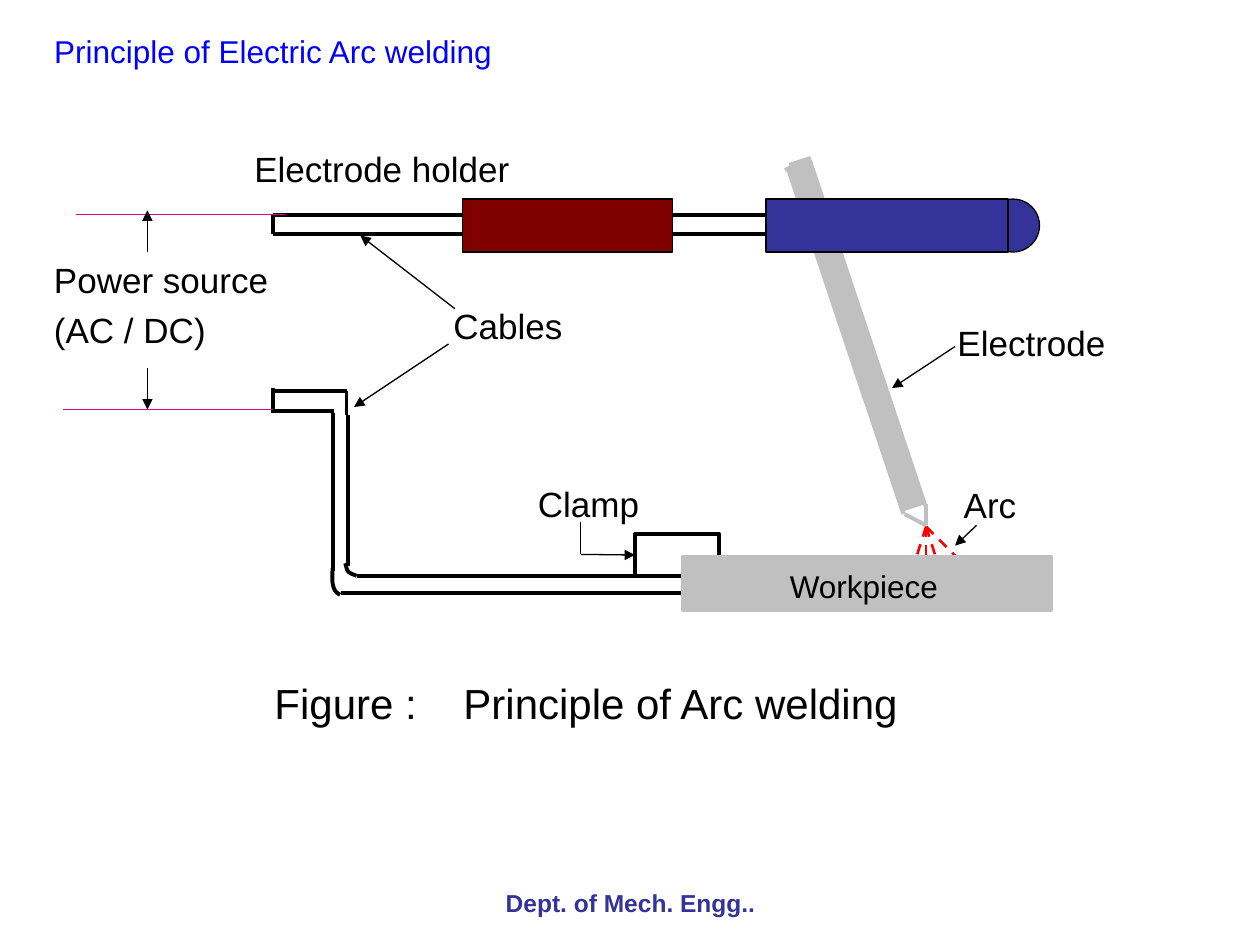
from dataclasses import dataclass

import pptx
import pptx.util
import pptx.dml.color
import pptx.enum.dml
import pptx.enum.shapes
import pptx.enum.text
import pptx.oxml
import pptx.oxml.ns
import pptx.oxml.xmlchemy

Inches = pptx.util.Inches
Pt = pptx.util.Pt
Shape = pptx.enum.shapes.MSO_SHAPE
Align = pptx.enum.text.PP_ALIGN
Point = tuple[float, float]

FONT = "Arial"
COLORS = {
    "white": "FFFFFF", "black": "000000", "gray": "C0C0C0", "navy": "333399",
    "maroon": "800000", "red": "FF0000", "pink": "D60093", "blue": "0000FF",
}


@dataclass
class Label:
    lines: list[str]
    left: float
    top: float
    width: float
    height: float
    size: float = 20
    color: str = "black"
    fill: str | None = None
    bold: bool = False
    align: Align = Align.LEFT
    line_spacing: float | None = None
    tab: float | None = None


@dataclass
class Line:
    start: Point
    end: Point
    color: str = "black"
    width: float = 2.25
    dashed: bool = False
    arrow: bool = False


@dataclass
class Block:
    left: float
    top: float
    width: float
    height: float
    fill: str | None
    line: str = "black"
    line_width: float = 0.75
    rotation: float = 0
    kind: Shape = Shape.RECTANGLE


def rgb(name: str) -> pptx.dml.color.RGBColor:
    return pptx.dml.color.RGBColor.from_string(COLORS[name])


def set_fill(shape, name: str | None) -> None:
    if name is None:
        shape.fill.background()
    else:
        shape.fill.solid()
        shape.fill.fore_color.rgb = rgb(name)


def set_line(shape, name: str, width: float) -> None:
    shape.line.color.rgb = rgb(name)
    shape.line.width = Pt(width)


def set_font(para, size: float, color: str, bold: bool = False) -> None:
    para.font.name = FONT
    para.font.size = Pt(size)
    para.font.bold = bold
    para.font.color.rgb = rgb(color)


def add_child(parent, tag: str, **attributes: str):
    child = parent.makeelement(pptx.oxml.ns.qn(tag), attributes)
    parent.append(child)
    return child


def draw_label(page, label: Label) -> None:
    box = page.shapes.add_textbox(*map(Inches, (label.left, label.top, label.width, label.height)))
    set_fill(box, label.fill)
    frame = box.text_frame
    frame.word_wrap = True
    for index, words in enumerate(label.lines):
        para = frame.add_paragraph() if index else frame.paragraphs[0]
        para.add_run().text = words
        para.alignment = label.align
        if label.line_spacing:
            para.line_spacing = label.line_spacing
        if index:
            para.space_before = Pt(label.size / 2)
        if label.tab:
            tabs = add_child(para._p.get_or_add_pPr(), "a:tabLst")
            add_child(tabs, "a:tab", pos=str(Inches(label.tab)), algn="l")
        set_font(para, label.size, label.color, label.bold)


def draw_line(page, line: Line):
    connector = page.shapes.add_connector(
        pptx.enum.shapes.MSO_CONNECTOR.STRAIGHT, *map(Inches, line.start + line.end))
    set_line(connector, line.color, line.width)
    if line.dashed:
        connector.line.dash_style = pptx.enum.dml.MSO_LINE.DASH
    if line.arrow:
        add_child(connector.line._get_or_add_ln(), "a:tailEnd", type="triangle")
    add_child(connector._element.spPr, "a:effectLst")
    return connector


def draw_block(page, block: Block):
    shape = page.shapes.add_shape(
        block.kind, *map(Inches, (block.left, block.top, block.width, block.height)))
    shape.shadow.inherit = False
    shape.rotation = block.rotation
    set_fill(shape, block.fill)
    set_line(shape, block.line, block.line_width)
    return shape


def draw_bend(page, *controls: Point, steps: int = 12) -> None:
    """Draw a cable bend along a cubic curve with four control points."""
    points = []
    for step in range(steps + 1):
        t = step / steps
        weights = ((1 - t) ** 3, 3 * t * (1 - t) ** 2, 3 * t * t * (1 - t), t ** 3)
        points.append(tuple(Inches(sum(w * c[axis] for w, c in zip(weights, controls)))
                            for axis in (0, 1)))
    builder = page.shapes.build_freeform(*points[0])
    builder.add_line_segments(points[1:], close=False)
    bend = builder.convert_to_shape()
    bend.shadow.inherit = False
    set_fill(bend, None)
    set_line(bend, "black", 2.25)


def draw_title(page, words: str) -> None:
    title = page.shapes.title
    title.left, title.top, title.width, title.height = map(Inches, (0.33, 0.2, 8.58, 0.63))
    frame = title.text_frame
    frame.text = words
    frame.vertical_anchor = pptx.enum.text.MSO_ANCHOR.TOP
    frame.paragraphs[0].alignment = Align.LEFT
    set_font(frame.paragraphs[0], 18, "blue")


LABELS = [
    Label(["Clamp"], 4.17, 3.78, 1.08, 0.43),
    Label(["Cables"], 3.5, 2.37, 1.25, 0.43),
    Label(["Electrode holder"], 1.92, 1.12, 3, 0.43),
    Label(["Electrode"], 7.5, 2.5, 1.42, 0.43),
    Label(["Arc"], 7.55, 3.79, 0.7, 0.43),
    Label(["Power source", "(AC / DC)"], 0.33, 2.08, 2, 0.77, line_spacing=0.76),
    Label(["Figure :\tPrinciple of Arc welding"], 2.08, 5.33, 5.92, 0.5, size=24, tab=1.5),
    Label(["Dept. of Mech. Engg.."], 3.42, 7, 3.17, 0.35, size=14, color="navy",
          bold=True, align=Align.CENTER),
]
ELECTRODE_EDGES = [
    ((7.18, 4.08), (7.35, 4.17)), ((7.35, 4), (7.35, 4.17)), ((6.25, 1.33), (7.17, 4.08)),
    ((6.43, 1.28), (7.35, 4.03)), ((6.23, 1.35), (6.4, 1.27)),
]
CABLE_EDGES = [
    # Holder cable
    ((2.17, 1.71), (6.08, 1.71)), ((2.17, 1.86), (6.08, 1.86)), ((2.17, 1.7), (2.17, 1.86)),
    # Return cable at the power source
    ((2.17, 3.08), (2.17, 3.25)), ((2.15, 3.26), (2.65, 3.26)),
    ((2.15, 3.1), (2.75, 3.1)), ((2.75, 3.1), (2.75, 3.29)),
    # Return cable down and across to the workpiece
    ((2.76, 3.29), (2.76, 4.49)), ((2.83, 4.57), (5.42, 4.57)),
    ((2.64, 3.28), (2.64, 4.53)), ((2.71, 4.71), (5.42, 4.71)),
]
POINTERS = [
    ((3.61, 2.45), (2.86, 1.87)), ((3.56, 2.73), (2.81, 3.23)), ((7.58, 2.75), (7.08, 3.08)),
    ((7.75, 4.17), (7.58, 4.33)), ((1.17, 2.92), (1.17, 3.25)), ((1.17, 2), (1.17, 1.67)),
]


def main() -> None:
    deck = pptx.Presentation()
    deck.slide_width, deck.slide_height = Inches(10), Inches(7.5)
    page = deck.slides.add_slide(deck.slide_layouts[5])
    draw_title(page, "Principle of Electric Arc welding")
    for label in LABELS:
        draw_label(page, label)

    # Electrode
    for start, end in ELECTRODE_EDGES:
        draw_line(page, Line(start, end, "gray"))
    draw_block(page, Block(6.71, 1.2, 0.17, 2.9, "gray", "gray", rotation=342))
    draw_block(page, Block(6.72, 1.24, 0.08, 2.83, "gray", "gray", rotation=341))

    # Cables, holder and clamp
    for start, end in CABLE_EDGES:
        draw_line(page, Line(start, end))
    draw_bend(page, (2.74, 4.47), (2.76, 4.54), (2.75, 4.54), (2.83, 4.57))
    draw_bend(page, (2.64, 4.51), (2.64, 4.57), (2.62, 4.69), (2.7, 4.72))
    draw_block(page, Block(7.83, 1.58, 0.42, 0.42, "navy", kind=Shape.OVAL))
    draw_block(page, Block(3.67, 1.58, 1.67, 0.42, "maroon"))
    draw_block(page, Block(6.08, 1.58, 1.92, 0.42, "navy", line_width=1.5))
    clamp = draw_block(page, Block(5.04, 4.24, 0.67, 0.33, None, line_width=2.25))

    # Arc
    for x in (7.27, 7.35, 7.43, 7.6):
        draw_line(page, Line((7.35, 4.18), (x, 4.43), "red", 1.5, dashed=True))

    # Power source terminals and pointers
    for left, y in ((0.5, 3.25), (0.6, 1.7)):
        draw_line(page, Line((left, y), (left + 1.67, y), "pink", 0.75))
    for start, end in POINTERS:
        draw_line(page, Line(start, end, width=0.75, arrow=True))
    draw_line(page, Line((4.61, 4.14), (4.61, 4.4), width=0.75))
    clamp_pointer = draw_line(page, Line((4.61, 4.4), (5.04, 4.4), width=0.75, arrow=True))
    clamp_pointer.end_connect(clamp, 1)

    # Workpiece
    draw_block(page, Block(5.42, 4.42, 2.92, 0.42, "gray", "gray", 2.25))
    draw_label(page, Label(["Workpiece"], 6.17, 4.45, 1.75, 0.36, size=18, fill="gray"))
    deck.save("out.pptx")


if __name__ == "__main__":
    main()
